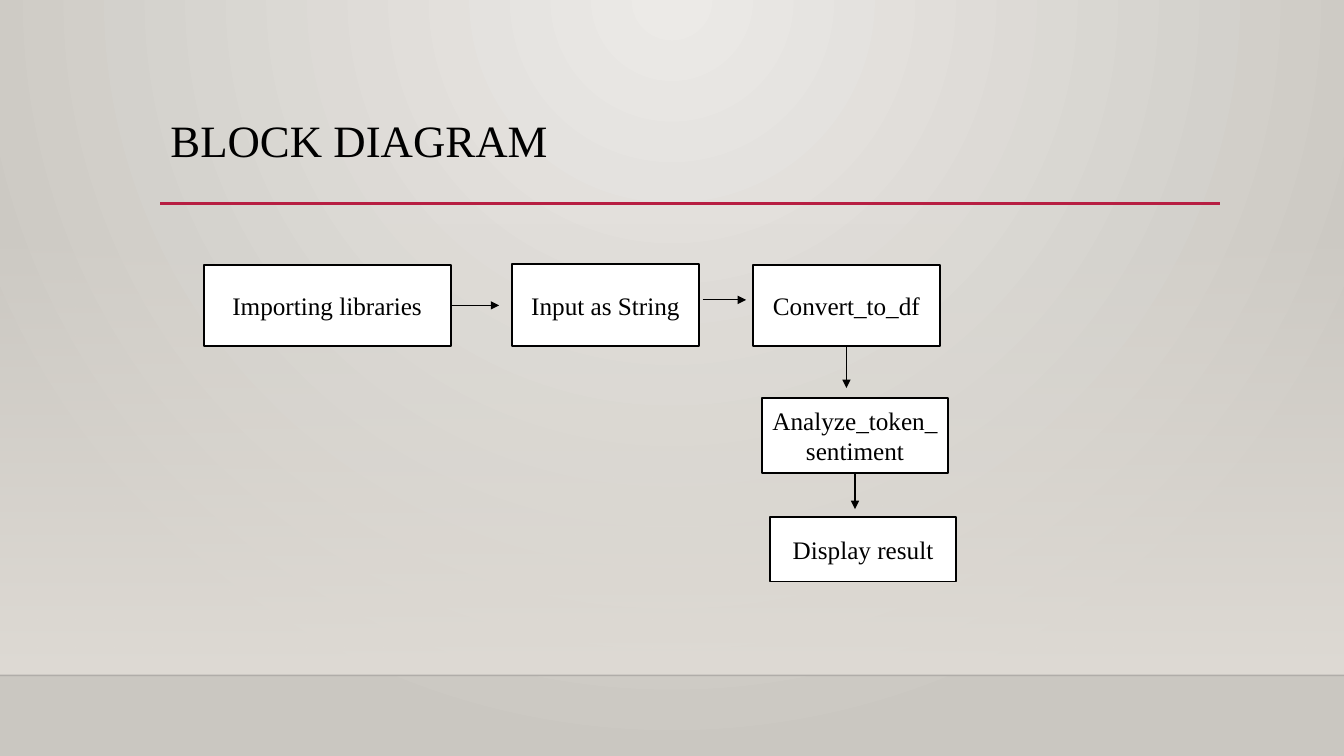
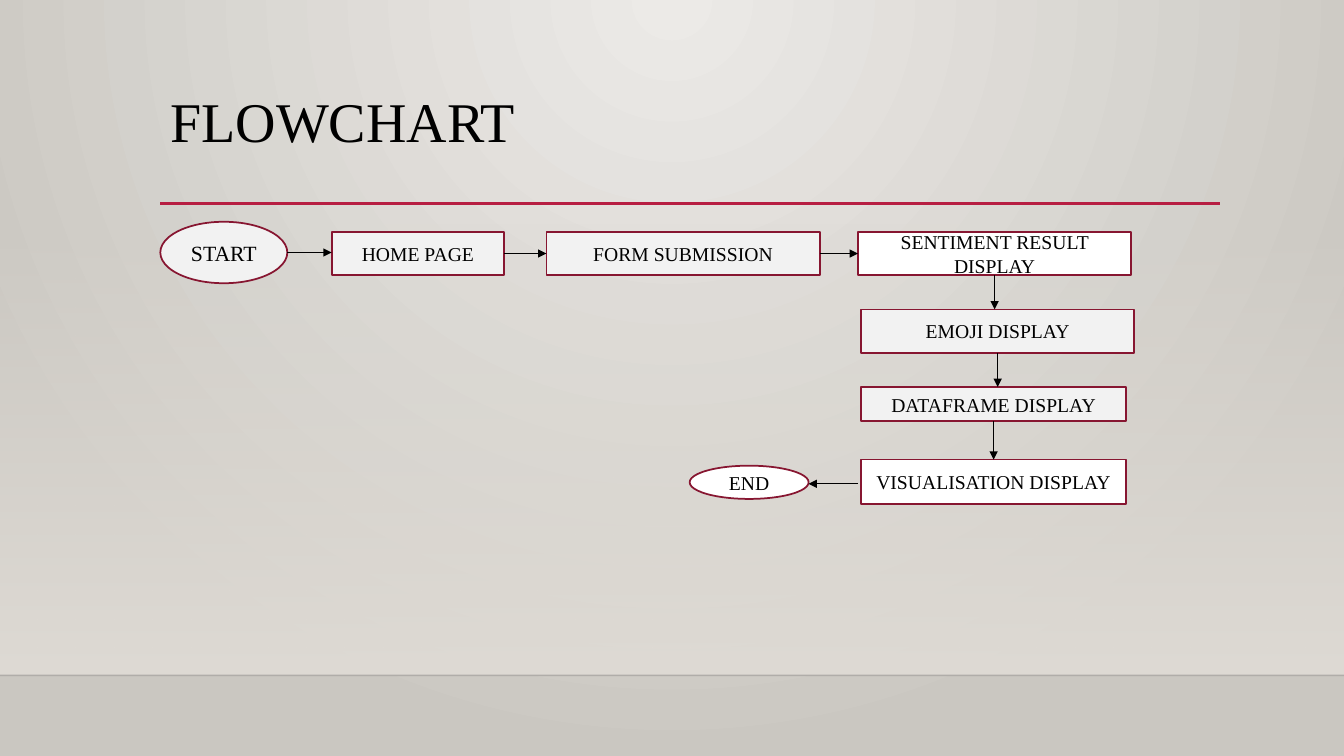
import dataclasses
import pptx
import pptx.dml.color
import pptx.enum.shapes
import pptx.enum.text
import pptx.oxml
import pptx.oxml.ns
import pptx.util

Inches = pptx.util.Inches
Pt = pptx.util.Pt
RGB = pptx.dml.color.RGBColor.from_string
qn = pptx.oxml.ns.qn
RECT = pptx.enum.shapes.MSO_SHAPE.RECTANGLE
OVAL = pptx.enum.shapes.MSO_SHAPE.OVAL


@dataclasses.dataclass(frozen=True)
class Theme:
    font: str = "Times New Roman"
    ink: str = "000000"
    white: str = "FFFFFF"
    pale: str = "F2F2F2"
    accent: str = "B71E42"
    outline: str = "871631"
    glow: str = "ECEAE7"
    shade: str = "CAC7C1"
    wall: str = "DFDBD5"
    floor_edge: str = "000001"
    block_size: float = 18
    step_size: float = 14
    start_size: float = 15.5
    outline_width: float = 1.25
    arrow_width: float = 0.75


THEME = Theme()
WIDTH, HEIGHT = 13.33, 7.5
FLOOR = 6.7


@dataclasses.dataclass(frozen=True)
class Node:
    text: str
    left: float
    top: float
    width: float
    height: float
    fill: str = THEME.white
    outline: str = THEME.outline
    size: float = THEME.step_size
    form: int = RECT

    @property
    def right(self):
        return self.left + self.width

    @property
    def bottom(self):
        return self.top + self.height

    @property
    def center(self):
        return self.left + self.width / 2, self.top + self.height / 2


# Low-level formatting
def add_xml(parent, tag, **attributes):
    child = pptx.oxml.parse_xml(
        f'<a:{tag} xmlns:a="http://schemas.openxmlformats.org/drawingml/2006/main"/>')
    for name, value in attributes.items():
        child.set(name, str(value))
    parent.append(child)
    return child


def set_alpha(color, percent):
    add_xml(color, "alpha", val=percent * 1000)


def set_gradient(fill, first, last):
    fill.gradient()
    for stop, color in zip(fill.gradient_stops, (first, last)):
        stop.color.rgb = RGB(color)


def style_text(paragraph, size):
    for run in paragraph.runs:
        run.font.name = THEME.font
        run.font.size = Pt(size)
        run.font.color.rgb = RGB(THEME.ink)


# Shared slide parts
def set_background(master):
    set_gradient(master.background.fill, THEME.glow, THEME.shade)
    gradient = next(master.element.find(".//" + qn("p:bg")).iter(qn("a:gradFill")))
    gradient.remove(gradient.find(qn("a:lin")))
    circle = add_xml(gradient, "path", path="circle")
    add_xml(circle, "fillToRect", l=43000, t=0, r=43000, b=100000)


def add_line(slide, start, end, color, width):
    line = slide.shapes.add_connector(
        pptx.enum.shapes.MSO_CONNECTOR.STRAIGHT, *map(Inches, start + end))
    line.line.color.rgb = RGB(color)
    line.line.width = Pt(width)
    add_xml(line.element.spPr, "effectLst")
    return line


def add_frame(slide):
    wall_top = 2.21
    wall = slide.shapes.add_shape(
        RECT, 0, Inches(wall_top), Inches(WIDTH), Inches(FLOOR - wall_top))
    wall.shadow.inherit = False
    wall.line.fill.background()
    set_gradient(wall.fill, THEME.wall, THEME.wall)
    wall.fill.gradient_angle = 270
    set_alpha(next(wall.element.spPr.iter(qn("a:srgbClr"))), 0)

    floor_edge = add_line(slide, (0, FLOOR), (WIDTH, FLOOR), THEME.floor_edge, 1)
    set_alpha(next(floor_edge.element.spPr.iter(qn("a:srgbClr"))), 20)
    add_line(slide, (1.59, 2.02), (12.1, 2.02), THEME.accent, 2.5)


def add_titled_slide(deck, heading, top, height, size):
    slide = deck.slides.add_slide(deck.slide_layouts[5])
    add_frame(slide)
    title = slide.shapes.title
    title.left, title.top = Inches(1.59), Inches(top)
    title.width, title.height = Inches(10.5), Inches(height)
    frame = title.text_frame
    frame.text = heading
    frame.auto_size = pptx.enum.text.MSO_AUTO_SIZE.NONE
    frame.vertical_anchor = pptx.enum.text.MSO_ANCHOR.TOP
    paragraph = frame.paragraphs[0]
    paragraph.alignment = pptx.enum.text.PP_ALIGN.LEFT
    paragraph.line_spacing = 0.9
    style_text(paragraph, size)
    return slide


# Diagram parts
def add_node(slide, node):
    box = slide.shapes.add_shape(
        node.form, *map(Inches, (node.left, node.top, node.width, node.height)))
    box.shadow.inherit = False
    box.fill.solid()
    box.fill.fore_color.rgb = RGB(node.fill)
    box.line.color.rgb = RGB(node.outline)
    box.line.width = Pt(THEME.outline_width)
    frame = box.text_frame
    frame.text = node.text
    frame.word_wrap = True
    frame.vertical_anchor = pptx.enum.text.MSO_ANCHOR.MIDDLE
    frame.paragraphs[0].alignment = pptx.enum.text.PP_ALIGN.CENTER
    style_text(frame.paragraphs[0], node.size)


def add_arrow(slide, source, target, leave=0, stop=0, shift=0):
    """Point from source to target; leave and stop are the gaps at the ends."""
    x, y = source.center
    y += shift
    if target.left > source.right:
        start, end = (source.right + leave, y), (target.left - stop, y)
    elif target.right < source.left:
        start, end = (source.left - leave, y), (target.right + stop, y)
    else:
        start, end = (x, source.bottom + leave), (x, target.top - stop)
    arrow = add_line(slide, start, end, THEME.ink, THEME.arrow_width)
    add_xml(arrow.element.spPr.find(qn("a:ln")), "tailEnd", type="triangle")


def add_flow(slide, nodes, gaps):
    for node in nodes:
        add_node(slide, node)
    for source, target, gap in zip(nodes, nodes[1:], gaps):
        add_arrow(slide, source, target, **gap)


# Slides
def build_block_diagram(deck):
    slide = add_titled_slide(deck, "BLOCK DIAGRAM", 1.13, 0.9, 32)
    look = {"outline": THEME.ink, "size": THEME.block_size}
    blocks = [
        Node("Importing libraries", 2.02, 2.63, 2.45, 0.8, **look),
        Node("Input as String", 5.08, 2.62, 1.85, 0.81, **look),
        Node("Convert_to_df", 7.47, 2.63, 1.85, 0.8, **look),
        Node("Analyze_token_sentiment", 7.56, 3.95, 1.84, 0.74, **look),
        Node("Display result", 7.64, 5.13, 1.84, 0.64, **look),
    ]
    gaps = [{"stop": 0.13}, {"leave": 0.04, "stop": 0.07, "shift": -0.05},
            {"stop": 0.1}, {"stop": 0.08}]
    add_flow(slide, blocks, gaps)


def build_flowchart(deck):
    slide = add_titled_slide(deck, "FLOWCHART", 0.88, 1.15, 40)
    steps = [
        Node("START", 1.59, 2.2, 1.26, 0.61, THEME.pale,
             size=THEME.start_size, form=OVAL),
        Node("HOME PAGE", 3.29, 2.3, 1.71, 0.43, THEME.pale),
        Node("FORM SUBMISSION", 5.42, 2.3, 2.71, 0.43, THEME.pale),
        Node("SENTIMENT RESULT DISPLAY", 8.51, 2.3, 2.71, 0.43),
        Node("EMOJI DISPLAY", 8.54, 3.07, 2.71, 0.43, THEME.pale),
        Node("DATAFRAME DISPLAY", 8.54, 3.84, 2.63, 0.34, THEME.pale),
        Node("VISUALISATION DISPLAY", 8.54, 4.56, 2.63, 0.44),
        Node("END", 6.84, 4.62, 1.18, 0.33, form=OVAL),
    ]
    gaps = [{}] * 6 + [{"leave": 0.03, "shift": 0.02}]
    add_flow(slide, steps, gaps)


def main():
    deck = pptx.Presentation()
    deck.slide_width, deck.slide_height = Inches(WIDTH), Inches(HEIGHT)
    set_background(deck.slide_master)
    build_block_diagram(deck)
    build_flowchart(deck)
    deck.save("out.pptx")


main()
